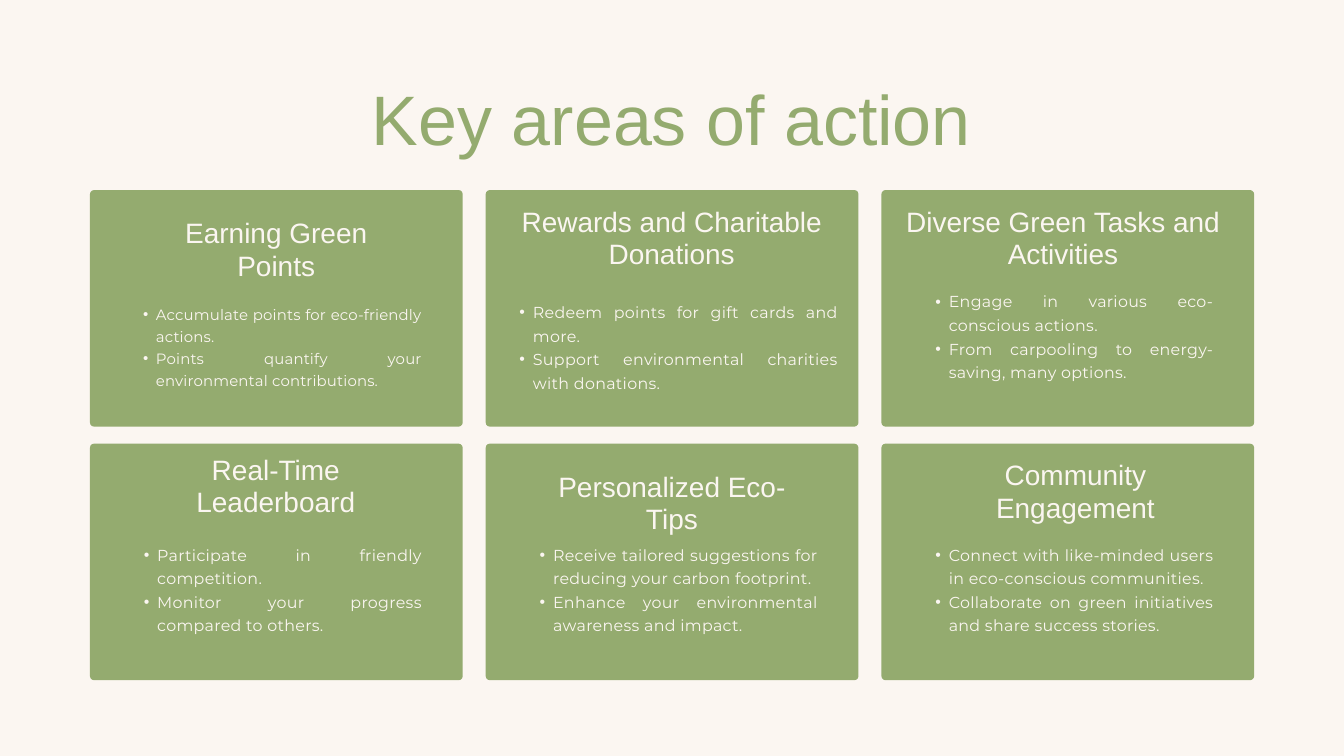
from pptx import Presentation
from pptx.dml.color import RGBColor
from pptx.enum.shapes import MSO_SHAPE
from pptx.enum.text import MSO_ANCHOR, MSO_AUTO_SIZE, PP_ALIGN
from pptx.oxml.ns import qn
from pptx.util import Pt
from lxml.etree import SubElement

GREEN = RGBColor(0x94, 0xAB, 0x6F)
CREAM = RGBColor(0xFB, 0xF6, 0xF1)

TITLE = "Key areas of action"

# Body styles: size, line height, indent, letter spacing
SMALL = (16, 23.7, 27.4, 0.2)
BASE = (17, 25.2, 28.8, 0.3)

# Row by row: heading, its (left, top, width), bullets, their (left, top, width), style
CARDS = [
    ("Earning Green Points", (160.6, 232.6, 270.7),
     ["Accumulate points for eco-friendly actions.",
      "Points quantify your environmental contributions."],
     (139.7, 322.5, 312.5), SMALL),
    ("Rewards and Charitable Donations", (542.2, 220.3, 355),
     ["Redeem points for gift cards and more.",
      "Support environmental charities with donations."],
     (542.2, 319.7, 355.7), BASE),
    ("Diverse Green Tasks and Activities", (966.2, 220.3, 345.6),
     ["Engage in various eco-conscious actions.",
      "From carpooling to energy-saving, many options."],
     (987.8, 308.2, 312.5), BASE),
    ("Real-Time Leaderboard", (181.4, 486, 228.2),
     ["Participate in friendly competition.",
      "Monitor your progress compared to others."],
     (139.7, 579.6, 312.5), BASE),
    ("Personalized Eco-Tips", (584.6, 504, 270.7),
     ["Receive tailored suggestions for reducing your carbon footprint.",
      "Enhance your environmental awareness and impact."],
     (563.8, 579.6, 312.5), BASE),
    ("Community Engagement", (987.8, 491.8, 329),
     ["Connect with like-minded users in eco-conscious communities.",
      "Collaborate on green initiatives and share success stories."],
     (987.8, 579.6, 312.5), BASE),
]

COLS = 3
LEFT, TOP = 96.4, 203.6
WIDE, HIGH = 399.4, 253.5
STEP_X, STEP_Y = 424, 271.7
ROUND = 4.5
HEAD_HIGH = 69.1


def place(shape, left, top, width, height):
    shape.left, shape.top = Pt(left), Pt(top)
    shape.width, shape.height = Pt(width), Pt(height)


def prep(frame):
    """Remove margins and autofit, and start the text at the top."""
    frame.word_wrap = True
    frame.auto_size = MSO_AUTO_SIZE.NONE
    frame.vertical_anchor = MSO_ANCHOR.TOP
    frame.margin_left = frame.margin_right = 0
    frame.margin_top = frame.margin_bottom = 0


def style(para, face, size, color, line, align):
    para.alignment = align
    para.line_spacing = Pt(line)
    para.space_before = Pt(0)
    para.font.name = face
    para.font.size = Pt(size)
    para.font.color.rgb = color


def bullet(para, indent):
    props = para._p.get_or_add_pPr()
    props.set("marL", str(Pt(indent)))
    props.set("indent", str(-Pt(indent / 2)))
    SubElement(props, qn("a:buFont"), typeface="Arial")
    SubElement(props, qn("a:buChar"), char="•")


def add_box(slide, left, top, width, height):
    box = slide.shapes.add_textbox(Pt(left), Pt(top), Pt(width), Pt(height))
    prep(box.text_frame)
    return box.text_frame


def add_card(slide, index):
    row, col = divmod(index, COLS)
    card = slide.shapes.add_shape(
        MSO_SHAPE.ROUNDED_RECTANGLE,
        Pt(LEFT + col * STEP_X), Pt(TOP + row * STEP_Y), Pt(WIDE), Pt(HIGH))
    card.adjustments[0] = ROUND / HIGH
    card.shadow.inherit = False
    card.fill.solid()
    card.fill.fore_color.rgb = GREEN
    card.line.fill.background()


def add_head(slide, text, spot):
    para = add_box(slide, *spot, HEAD_HIGH).paragraphs[0]
    para.text = text
    style(para, "Arial", 30, CREAM, 34.8, PP_ALIGN.CENTER)


def add_list(slide, items, spot, look):
    size, line, indent, gap = look
    frame = add_box(slide, *spot, 4 * line)
    for i, item in enumerate(items):
        para = frame.add_paragraph() if i else frame.paragraphs[0]
        para.level = 1
        bullet(para, indent)
        run = para.add_run()
        run.text = item
        run._r.get_or_add_rPr().set("spc", str(round(gap * 100)))
        style(para, "Montserrat", size, CREAM, line, PP_ALIGN.JUSTIFY)


def main():
    deck = Presentation()
    deck.slide_width, deck.slide_height = Pt(1440), Pt(810)
    slide = deck.slides.add_slide(deck.slide_layouts[5])
    slide.background.fill.solid()
    slide.background.fill.fore_color.rgb = CREAM

    title = slide.shapes.title
    place(title, 231.8, 84.2, 975.6, 86.4)
    prep(title.text_frame)
    title.text_frame.text = TITLE
    style(title.text_frame.paragraphs[0], "Arial", 75, GREEN, 87, PP_ALIGN.CENTER)

    for i, (head, spot, items, area, look) in enumerate(CARDS):
        add_card(slide, i)
        add_head(slide, head, spot)
        add_list(slide, items, area, look)
    deck.save("out.pptx")


if __name__ == "__main__":
    main()
